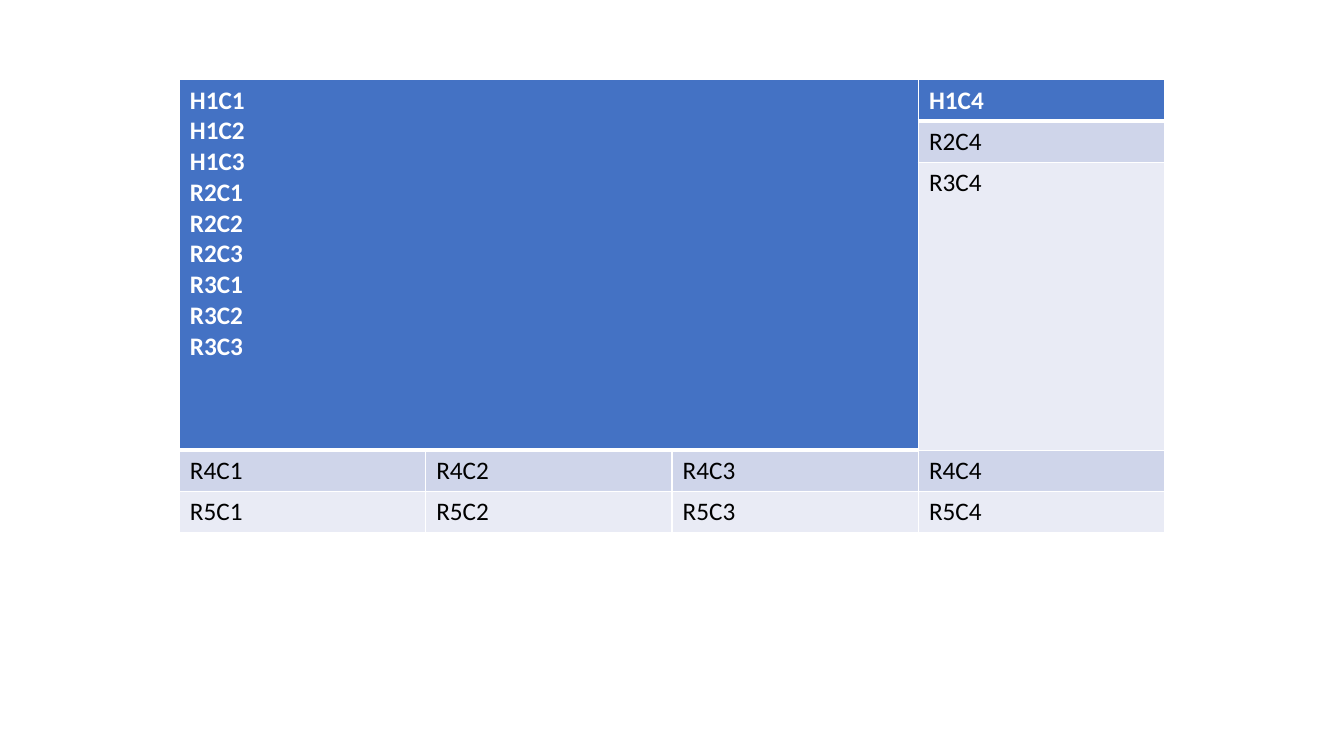
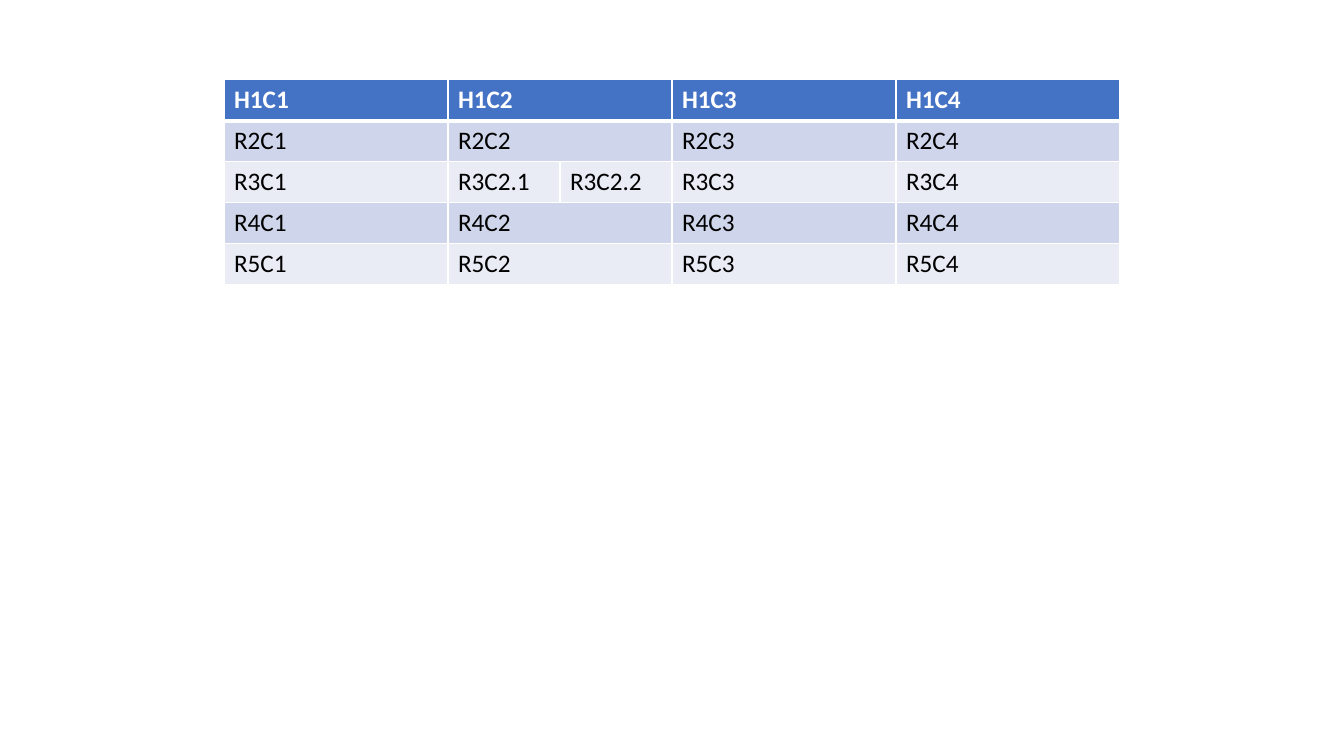
from dataclasses import dataclass

from lxml import etree
from pptx import Presentation
from pptx.dml import color
from pptx.oxml import ns
from pptx.util import Pt

COLORS = {
    "header": "4472C4",
    "odd_band": "CFD5EA",
    "even_band": "E9EBF5",
    "line": "FFFFFF",
    "header_text": "FFFFFF",
    "body_text": "000000",
}
FONT = "Calibri"
TEXT_SIZE = 18
SLIDE_WIDTH, SLIDE_HEIGHT = 960, 540
TABLE_TOP = 57
ROW_HEIGHT = 29.2
ROW_COUNT = 5
THIN_LINE, HEADER_LINE = 1, 3


@dataclass(frozen=True)
class Block:
    """A cell, or a merged range of cells, with one paragraph per line."""
    row: int
    column: int
    lines: tuple[str, ...]
    rows: int = 1
    columns: int = 1


@dataclass(frozen=True)
class TableSpec:
    column_widths: tuple[float, ...]
    blocks: tuple[Block, ...]
    height: float
    side_inset: float = 7.2
    top_inset: float = 3.6


def label(row: int, column: int) -> str:
    return f"{'R' if row else 'H'}{row + 1}C{column + 1}"


def merged_corner_table() -> TableSpec:
    span = 3
    corner_lines = tuple(label(row, column) for row in range(span) for column in range(span))
    singles = tuple(
        Block(row, column, (label(row, column),))
        for row in range(ROW_COUNT)
        for column in range(4)
        if row >= span or column >= span
    )
    corner = Block(0, 0, corner_lines, span, span)
    return TableSpec((176,) * 4, (corner, *singles), 260, 7.7, 3.8)


def split_cell_table() -> TableSpec:
    split_row = 2
    blocks: list[Block] = []
    for row in range(ROW_COUNT):
        blocks.append(Block(row, 0, (label(row, 0),)))
        second = label(row, 1)
        if row == split_row:
            blocks += [Block(row, part, (f"{second}.{part}",)) for part in (1, 2)]
        else:
            blocks.append(Block(row, 1, (second,), columns=2))
        blocks += [Block(row, column + 1, (label(row, column),)) for column in (2, 3)]
    return TableSpec((160, 80, 80, 160, 160), tuple(blocks), ROW_COUNT * ROW_HEIGHT)


def rgb(name: str) -> color.RGBColor:
    return color.RGBColor.from_string(COLORS[name])


def style_cell(cell, row: int) -> None:
    """Fill and rule a cell; each row's lower line also tops the next row."""
    is_header = row == 0
    sides = {"L": THIN_LINE, "R": THIN_LINE}
    if is_header:
        sides["T"] = THIN_LINE
    sides["B"] = HEADER_LINE if is_header else THIN_LINE
    properties = cell._tc.get_or_add_tcPr()
    for side, width in sides.items():
        border = etree.SubElement(properties, ns.qn(f"a:ln{side}"), w=str(Pt(width)))
        fill = etree.SubElement(border, ns.qn("a:solidFill"))
        etree.SubElement(fill, ns.qn("a:srgbClr"), val=COLORS["line"])
    band = "header" if is_header else "odd_band" if row % 2 else "even_band"
    cell.fill.solid()
    cell.fill.fore_color.rgb = rgb(band)


def write_lines(cell, lines: tuple[str, ...], is_header: bool) -> None:
    frame = cell.text_frame
    for index, line in enumerate(lines):
        para = frame.add_paragraph() if index else frame.paragraphs[0]
        span = para.add_run()
        span.text = line
        span.font.name = FONT
        span.font.size = Pt(TEXT_SIZE)
        span.font.bold = is_header
        span.font.color.rgb = rgb("header_text" if is_header else "body_text")


def add_table(page, spec: TableSpec) -> None:
    """Draw the table centred across the page."""
    width = sum(spec.column_widths)
    frame = page.shapes.add_table(
        ROW_COUNT, len(spec.column_widths),
        Pt((SLIDE_WIDTH - width) / 2), Pt(TABLE_TOP), Pt(width), Pt(spec.height),
    )
    table = frame.table
    for column, column_width in zip(table.columns, spec.column_widths):
        column.width = Pt(column_width)
    for row in table.rows:
        row.height = Pt(ROW_HEIGHT)
    frame.height = Pt(spec.height)

    for block in spec.blocks:
        for row in range(block.row, block.row + block.rows):
            for column in range(block.column, block.column + block.columns):
                style_cell(table.cell(row, column), block.row)
        cell = table.cell(block.row, block.column)
        if block.rows * block.columns > 1:
            cell.merge(table.cell(block.row + block.rows - 1, block.column + block.columns - 1))
        cell.margin_left = cell.margin_right = Pt(spec.side_inset)
        cell.margin_top = cell.margin_bottom = Pt(spec.top_inset)
        write_lines(cell, block.lines, block.row == 0)


def main() -> None:
    deck = Presentation()
    deck.slide_width, deck.slide_height = Pt(SLIDE_WIDTH), Pt(SLIDE_HEIGHT)
    blank_layout = deck.slide_layouts[6]
    for spec in (merged_corner_table(), split_cell_table()):
        add_table(deck.slides.add_slide(blank_layout), spec)
    deck.save("out.pptx")


if __name__ == "__main__":
    main()
